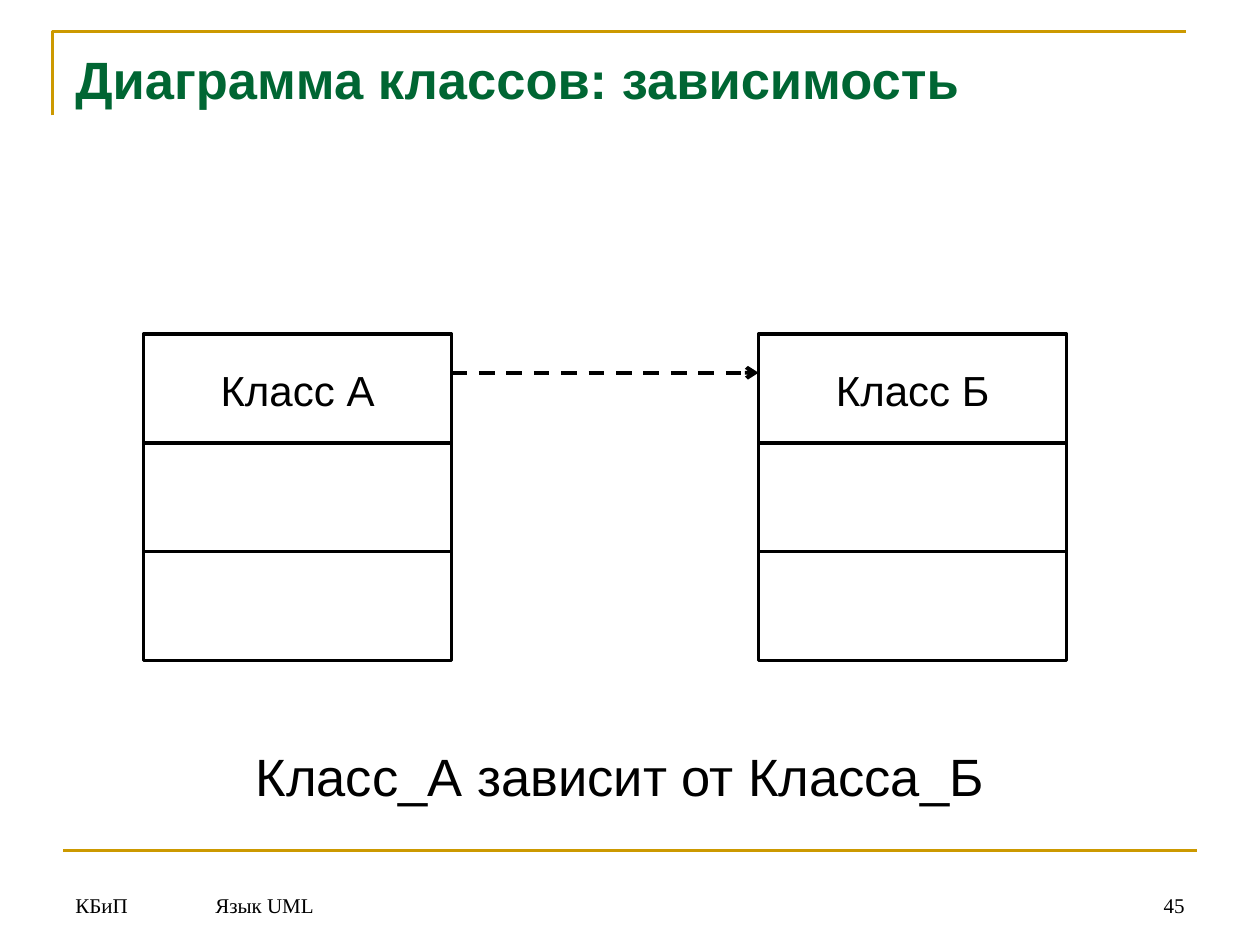
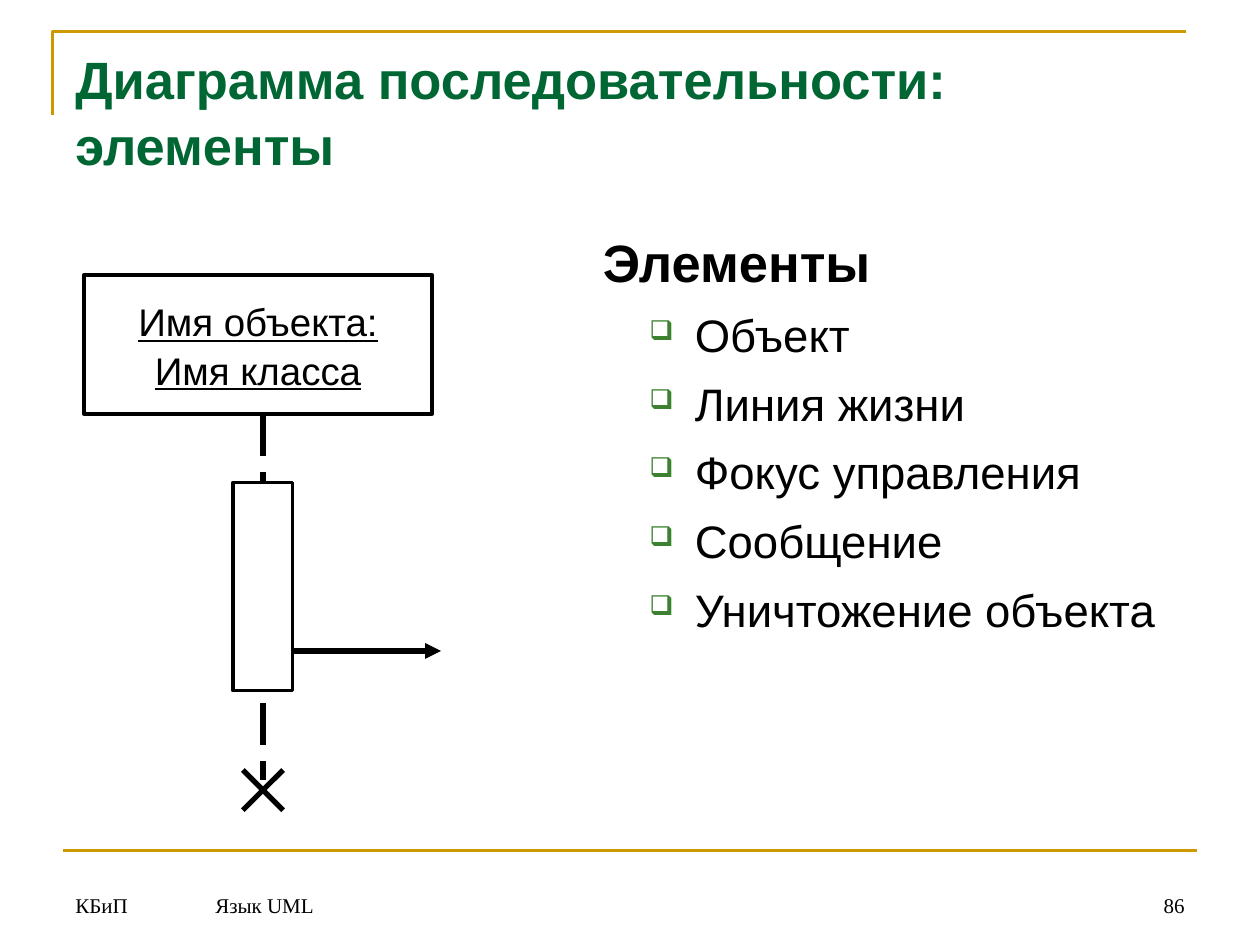
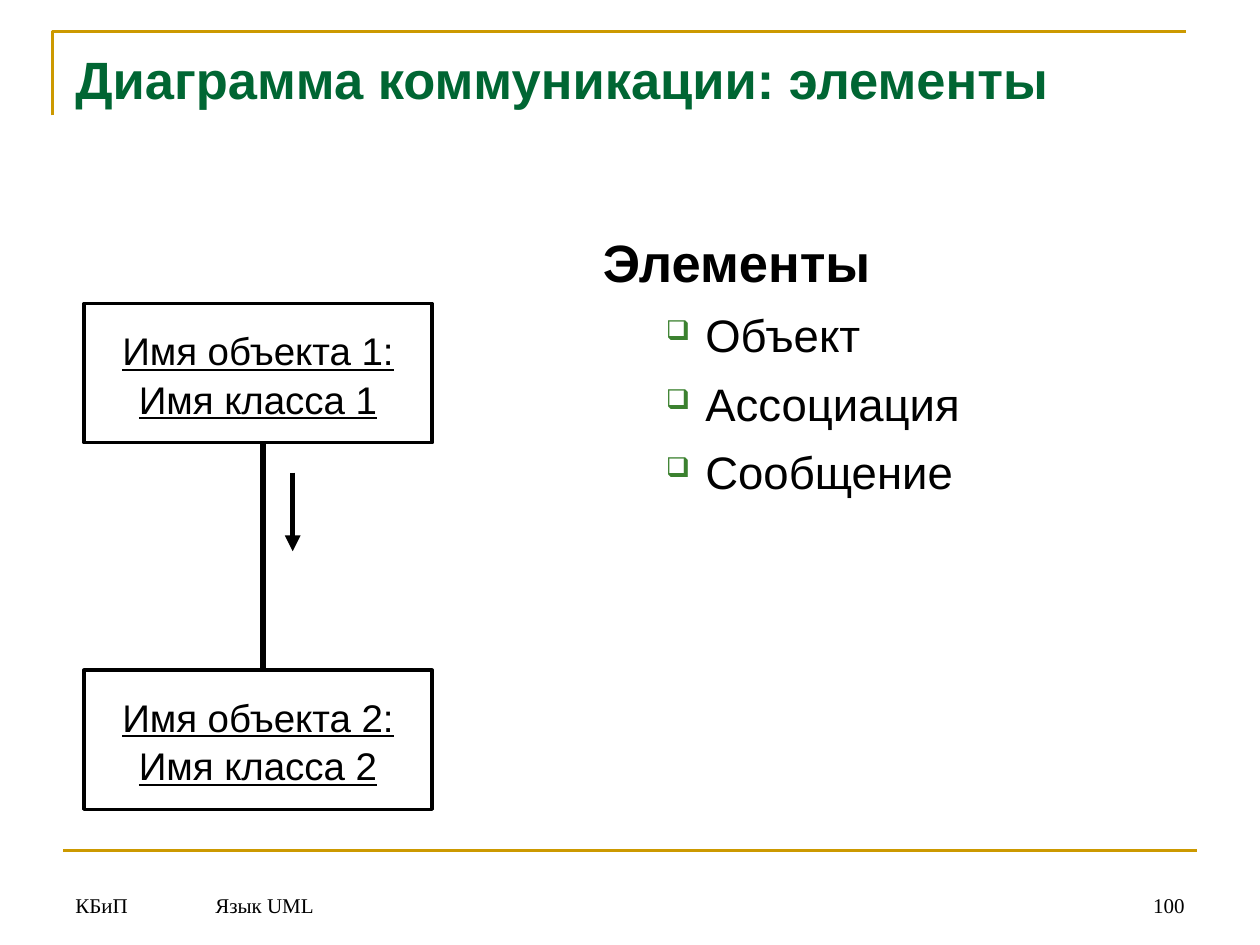
import pptx
import pptx.dml.color
import pptx.enum.dml
import pptx.enum.shapes
import pptx.enum.text
import pptx.oxml
import pptx.oxml.ns
import pptx.oxml.xmlchemy
import pptx.util

Pt = pptx.util.Pt
rgb = pptx.dml.color.RGBColor.from_string
ALIGN = pptx.enum.text.PP_ALIGN
ANCHOR = pptx.enum.text.MSO_ANCHOR
DASH = pptx.enum.dml.MSO_LINE

# Shared look
GOLD, GREEN, BULLET_GREEN, BLACK, WHITE = "CC9900", "006633", "3B812F", "000000", "FFFFFF"
SANS, SERIF = "Arial", "Times New Roman"
LINE_SPACING = 1.05


def add_box(slide, left, top, width, height, lines=(), size=22, font=SANS, color=BLACK,
            bold=False, underline=False, align=ALIGN.LEFT, anchor=ANCHOR.TOP,
            wrap=True, outlined=False, fill=None):
    frame = [Pt(v) for v in (left, top, width, height)]
    if outlined:
        box = slide.shapes.add_shape(pptx.enum.shapes.MSO_SHAPE.RECTANGLE, *frame)
        box.shadow.inherit = False
        box.line.color.rgb = rgb(BLACK)
        box.line.width = Pt(2)
        if fill:
            box.fill.solid()
            box.fill.fore_color.rgb = rgb(fill)
        else:
            box.fill.background()
    else:
        box = slide.shapes.add_textbox(*frame)
    text = box.text_frame
    text.word_wrap = wrap
    text.vertical_anchor = anchor
    for i, line in enumerate(lines):
        paragraph = text.add_paragraph() if i else text.paragraphs[0]
        paragraph.alignment = align
        paragraph.line_spacing = LINE_SPACING
        run = paragraph.add_run()
        run.text = line
        run.font.name, run.font.size = font, Pt(size)
        run.font.bold, run.font.underline = bold, underline
        run.font.color.rgb = rgb(color)
    return box


def add_line(slide, x1, y1, x2, y2, width=3, color=BLACK, dash=None, arrow=None):
    line = slide.shapes.add_connector(
        pptx.enum.shapes.MSO_CONNECTOR.STRAIGHT, Pt(x1), Pt(y1), Pt(x2), Pt(y2))
    line.line.color.rgb = rgb(color)
    line.line.width = Pt(width)
    if dash:
        line.line.dash_style = dash
    if arrow:
        tail = pptx.oxml.xmlchemy.OxmlElement("a:tailEnd")
        tail.set("type", arrow)
        line.line._get_or_add_ln().append(tail)
    line._element.spPr.append(pptx.oxml.xmlchemy.OxmlElement("a:effectLst"))


deck = pptx.Presentation()
deck.slide_width, deck.slide_height = Pt(720), Pt(540)

# Frame, footer and title of every slide
slides = []
for title, number in (("Диаграмма классов: зависимость", "45"),
                      ("Диаграмма последовательности: элементы", "86"),
                      ("Диаграмма коммуникации: элементы", "100")):
    slide = deck.slides.add_slide(deck.slide_layouts[6])
    slides.append(slide)
    outline = slide.shapes.build_freeform(Pt(30), Pt(66))
    outline.add_line_segments([(Pt(30), Pt(18)), (Pt(678), Pt(18))], close=False)
    corner = outline.convert_to_shape()
    corner.shadow.inherit = False
    corner.fill.background()
    corner.line.color.rgb = rgb(GOLD)
    corner.line.width = Pt(1.5)
    add_line(slide, 36, 486, 684, 486, 1.5, GOLD)
    for left, width, label, align in ((36, 69, "КБиП", ALIGN.LEFT),
                                      (116, 521, "Язык UML", ALIGN.LEFT),
                                      (644, 40, number, ALIGN.RIGHT)):
        add_box(slide, left, 492, width, 36, [label], 12, SERIF, align=align,
                anchor=ANCHOR.BOTTOM)
    add_box(slide, 36, 21.6, 648, 90, [title], 30, color=GREEN, bold=True)

dependency, sequence, communication = slides

# Dependency: two classes of three compartments
for left, name in ((82, "Класс А"), (433.5, "Класс Б")):
    for row, lines in enumerate(([name], [], [])):
        add_box(dependency, left, 190.8 + row * 62.25, 176, 62.25, lines, 24,
                align=ALIGN.CENTER, anchor=ANCHOR.MIDDLE, wrap=False, outlined=True)
add_line(dependency, 258, 213, 433.5, 213, 2.25, dash=DASH.DASH, arrow="arrow")
add_box(dependency, 139, 419.8, 431, 43, ["Класс_А зависит от Класса_Б"], 30, wrap=False)

# Named objects of the sequence and communication diagrams
for slide, top, suffix in ((sequence, 157, ""), (communication, 173.5, " 1"),
                           (communication, 383, " 2")):
    add_box(slide, 48, top, 199, 79.5, [f"Имя объекта{suffix}:", f"Имя класса{suffix}"],
            underline=True, align=ALIGN.CENTER, anchor=ANCHOR.MIDDLE, wrap=False,
            outlined=True)

# Sequence: lifeline, focus of control, destruction cross, message
axis = 150.25
add_line(sequence, axis, 236.5, axis, 446, dash=DASH.LONG_DASH)
add_box(sequence, 133.25, 275.75, 34, 119, outlined=True, fill=WHITE)
add_line(sequence, axis + 11.5, 440, axis - 11.5, 463)
add_line(sequence, axis - 11.5, 440, axis + 11.5, 463)
add_line(sequence, 167.25, 372, 252, 372, arrow="triangle")

# Communication: association and message
add_line(communication, axis, 253, axis, 383)
add_line(communication, 167.25, 270, 167.25, 315, arrow="triangle")

# Lists of diagram elements
for slide, margin, hanging, elements in (
        (sequence, 52.5, 26, ("Объект", "Линия жизни", "Фокус управления", "Сообщение",
                              "Уничтожение объекта")),
        (communication, 58.5, 22.5, ("Объект", "Ассоциация", "Сообщение"))):
    listing = add_box(slide, 337.5, 126, 346.5, 356, ["Элементы"], 30, bold=True)
    for element in elements:
        paragraph = listing.text_frame.add_paragraph()
        paragraph.level = 1
        paragraph.space_before = Pt(6.5)
        paragraph.line_spacing = LINE_SPACING
        properties = paragraph._p.get_or_add_pPr()
        properties.set("marL", str(Pt(margin)))
        properties.set("indent", str(-Pt(hanging)))
        for bullet in (f'<a:buClr {pptx.oxml.ns.nsdecls("a")}>'
                       f'<a:srgbClr val="{BULLET_GREEN}"/></a:buClr>',
                       f'<a:buSzPct {pptx.oxml.ns.nsdecls("a")} val="60000"/>',
                       f'<a:buChar {pptx.oxml.ns.nsdecls("a")} char="❑"/>'):
            properties.append(pptx.oxml.parse_xml(bullet))
        run = paragraph.add_run()
        run.text = element
        run.font.name, run.font.size = SANS, Pt(26)
        run.font.color.rgb = rgb(BLACK)

deck.save("out.pptx")
